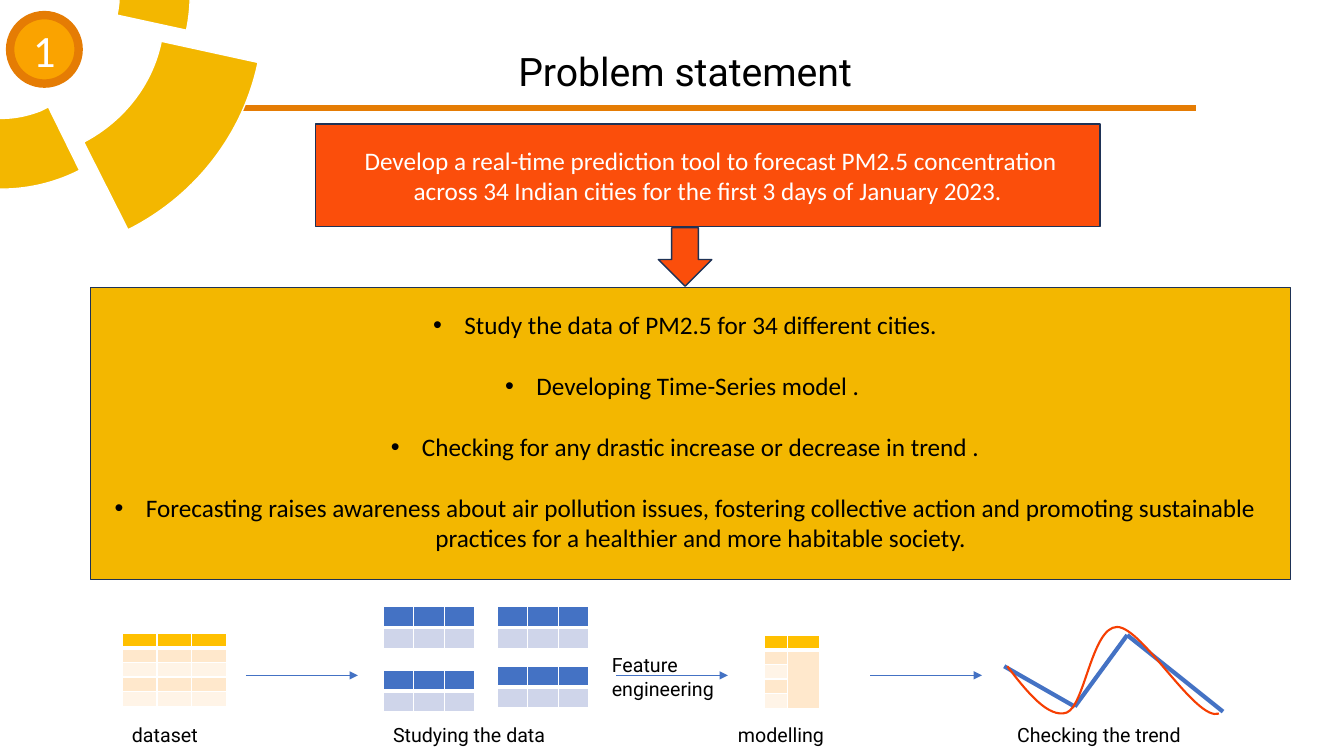
from lxml.etree import SubElement
from pptx import Presentation
from pptx.dml.color import RGBColor
from pptx.enum.shapes import MSO_CONNECTOR as Link, MSO_SHAPE as Shape
from pptx.enum.text import MSO_ANCHOR as Anchor, MSO_AUTO_SIZE as AutoSize, PP_ALIGN as Align
from pptx.oxml.ns import qn
from pptx.util import Inches, Pt

BLACK, WHITE, NAVY, BLUE = "000000", "FFFFFF", "1E3256", "4472C4"
GOLD, RED, ORANGE, AMBER = "F3B700", "FB4E0B", "E57C04", "FFC000"
PEACH, CREAM, LAVENDER = "FFE8CC", "FFF4E7", "CFD5EA"


def color(value):
    return RGBColor.from_string(value)


def write(frame, text, size=14, font="Roboto", ink=BLACK, align=Align.LEFT, bullet=False, gap=0):
    frame.word_wrap = True
    for index, line in enumerate(text.split("\n")):
        para = frame.paragraphs[0] if index == 0 else frame.add_paragraph()
        para.alignment = align
        if index and gap:
            para.space_before = Pt(gap)
        if bullet:
            props = para._p.get_or_add_pPr()
            props.set("marL", str(Inches(0.31)))
            props.set("indent", str(-Inches(0.31)))
            SubElement(props, qn("a:buFont"), typeface="Arial")
            SubElement(props, qn("a:buChar"), char="•")
        span = para.add_run()
        span.text = line
        span.font.size, span.font.name = Pt(size), font
        span.font.color.rgb = color(ink)


def bend(shape, anchors, segments):
    left, top = (min(values) for values in zip(*anchors))
    corners = list(shape._element.iter(qn("a:lnTo")))
    for corner, segment in zip(corners, segments):
        if len(segment) == 2:
            continue
        corner.tag = qn("a:cubicBezTo")
        end = corner[0]
        for x, y in (segment[:2], segment[2:4]):
            point = SubElement(corner, qn("a:pt"), x=str(round((x - left) * 1000)), y=str(round((y - top) * 1000)))
            end.addprevious(point)


def border(cell, heavy_top, heavy_bottom):
    props = cell._tc.get_or_add_tcPr()
    widths = {"L": 1, "R": 1, "T": 3 if heavy_top else 1, "B": 3 if heavy_bottom else 1}
    for side, width in widths.items():
        line = SubElement(props, qn(f"a:ln{side}"), w=str(Pt(width)))
        SubElement(SubElement(line, qn("a:solidFill")), qn("a:srgbClr"), val=WHITE)


class Page:
    """Holds the style and the current slide, and draws each kind of element."""

    def __init__(self, deck):
        self.slide = deck.slides.add_slide(deck.slide_layouts[5])
        self.shapes = self.slide.shapes

    def title(self, text, *place, **style):
        box = self.shapes.title
        box.left, box.top, box.width, box.height = map(Inches, place)
        box.text_frame.auto_size = AutoSize.NONE
        box.text_frame.vertical_anchor = Anchor.TOP
        write(box.text_frame, text, **style)

    def text(self, text, *place, **style):
        box = self.shapes.add_textbox(*map(Inches, place))
        write(box.text_frame, text, **style)

    def paint(self, shape, fill, line, width):
        shape.shadow.inherit = False
        if fill:
            shape.fill.solid()
            shape.fill.fore_color.rgb = color(fill)
        else:
            shape.fill.background()
        shape.line.color.rgb = color(line)
        shape.line.width = Pt(width)

    def shape(self, kind, *place, fill, line=NAVY, width=1):
        shape = self.shapes.add_shape(kind, *map(Inches, place))
        self.paint(shape, fill, line, width)
        return shape

    def outline(self, start, *segments, fill=GOLD, line=WHITE, width=1, close=True):
        anchors = [start] + [segment[-2:] for segment in segments]
        points = [(x * 1000, y * 1000) for x, y in anchors]
        builder = self.shapes.build_freeform(*points[0], scale=Inches(1) / 1000)
        builder.add_line_segments(points[1:], close=close)
        shape = builder.convert_to_shape()
        bend(shape, anchors, segments)
        self.paint(shape, fill, line, width)

    def line(self, start, end, ink=BLUE, width=3, arrow=False):
        line = self.shapes.add_connector(Link.STRAIGHT, *map(Inches, start + end))
        line.line.color.rgb = color(ink)
        line.line.width = Pt(width)
        if arrow:
            SubElement(line.line._get_or_add_ln(), qn("a:tailEnd"), type="triangle")
        SubElement(line._element.spPr, qn("a:effectLst"))

    def table(self, left, top, columns, height, fills, merge_from=None):
        place = left, top, sum(columns), height
        table = self.shapes.add_table(len(fills), len(columns), *map(Inches, place)).table
        for column, width in zip(table.columns, columns):
            column.width = Inches(width)
        for index, (row, fill) in enumerate(zip(table.rows, fills)):
            row.height = Inches(height / len(fills))
            for cell in row.cells:
                cell.margin_left = cell.margin_right = cell.margin_top = cell.margin_bottom = 0
                SubElement(cell.text_frame.paragraphs[0]._p, qn("a:endParaRPr"), sz="100")
                border(cell, index == 1, index == 0)
                cell.fill.solid()
                cell.fill.fore_color.rgb = color(fill)
        if merge_from:
            table.cell(*merge_from).merge(table.cell(len(fills) - 1, len(columns) - 1))


def main():
    deck = Presentation()
    deck.slide_width, deck.slide_height = Inches(13.33), Inches(7.5)
    page = Page(deck)
    page.title("Problem statement", 3.76, 0.42, 6.07, 0.57, size=28, align=Align.CENTER)

    page.shape(Shape.RECTANGLE, 0.9, 2.85, 11.9, 2.9, fill=GOLD)
    page.shape(Shape.RECTANGLE, 3.13, 1.23, 7.78, 1.02, fill=RED)
    page.line((1.73, 1.07), (11.86, 1.07), ink=ORANGE, width=4.5)

    page.outline((2.56, 0.62), (2.41, 1.34, 1.93, 1.95, 1.27, 2.28), (0.83, 1.41), (0.85, 1.4),
                 (1.22, 1.2, 1.51, 0.85, 1.6, 0.41))
    page.outline((0.79, 1.69), (0.32, 1.93, -0.24, 1.94, -0.72, 1.71), (-0.42, 1.08), (-0.4, 1.09),
                 (-0.34, 1.11, -0.27, 1.14, -0.2, 1.15), (0.01, 1.2, 0.22, 1.17, 0.4, 1.1), (0.48, 1.06))
    page.outline((1.85, 0.3), (1.16, 0.15), (1.23, -0.16, 1.14, -0.47, 0.96, -0.71), (0.95, -0.72),
                 (1.49, -1.17), (1.82, -0.76, 1.96, -0.22, 1.85, 0.3))
    badge = page.shape(Shape.OVAL, 0.1, 0.15, 0.68, 0.68, fill="FAA300", line=ORANGE, width=6)
    badge.text_frame.vertical_anchor = Anchor.MIDDLE
    badge.text_frame.margin_left = badge.text_frame.margin_right = 0
    body = {"font": "Calibri", "align": Align.CENTER}
    write(badge.text_frame, "1", size=32, ink=WHITE, **body)

    page.text(" Develop a real-time prediction tool to forecast PM2.5 concentration across 34 Indian "
              "cities for the first 3 days of January 2023.",
              3.13, 1.39, 7.78, 0.71, size=18, ink=WHITE, **body)
    goals = [
        "Study the data of PM2.5 for 34 different cities.",
        "Developing Time-Series model . ",
        "Checking for any drastic increase or decrease in trend .",
        "Forecasting raises awareness about air pollution issues, fostering collective action and "
        "promoting sustainable practices for a healthier and more habitable society.",
    ]
    page.text("\n".join(goals), 0.86, 3.02, 11.87, 2.52, size=18, bullet=True, gap=22, **body)
    page.shape(Shape.DOWN_ARROW, 6.53, 2.26, 0.53, 0.58, fill=RED)

    amber_rows = [AMBER, PEACH, CREAM, PEACH, CREAM]
    page.table(1.21, 6.28, [1.04 / 3] * 3, 0.73, amber_rows)
    for left, top in [(3.8, 6.02), (3.8, 6.65), (4.93, 6.61), (4.93, 6.02)]:
        page.table(left, top, [0.91 / 3] * 3, 0.41, [BLUE, LAVENDER])
    page.table(7.58, 6.3, [0.23, 0.32], 0.73, amber_rows, merge_from=(1, 1))
    for left in (2.44, 6.11, 8.63):
        page.line((left, 6.7), (left + 1.11, 6.7), width=0.5, arrow=True)

    trend = [(9.96, 6.61), (10.66, 7.01), (11.18, 6.3), (12.13, 7.06)]
    for start, end in zip(trend, trend[1:]):
        page.line(start, end)
    page.outline((9.99, 6.61), (10.19, 6.87, 10.4, 7.13, 10.58, 7.07), (10.76, 7, 10.83, 6.22, 11.08, 6.22),
                 (11.33, 6.22, 11.86, 7.16, 12.09, 7.08), fill=None, line="F63E02", width=1.5, close=False)

    captions = [("dataset", 1.21, 1.15), ("Studying the data", 3.8, 2.74),
                ("modelling", 7.22, 1.41), ("Checking the trend", 9.99, 2.84)]
    for caption, left, width in captions:
        page.text(caption, left, 7.12, width, 0.34)
    page.text("Feature\nengineering", 5.97, 6.43, 1.56, 0.57)
    deck.save("out.pptx")


if __name__ == "__main__":
    main()
